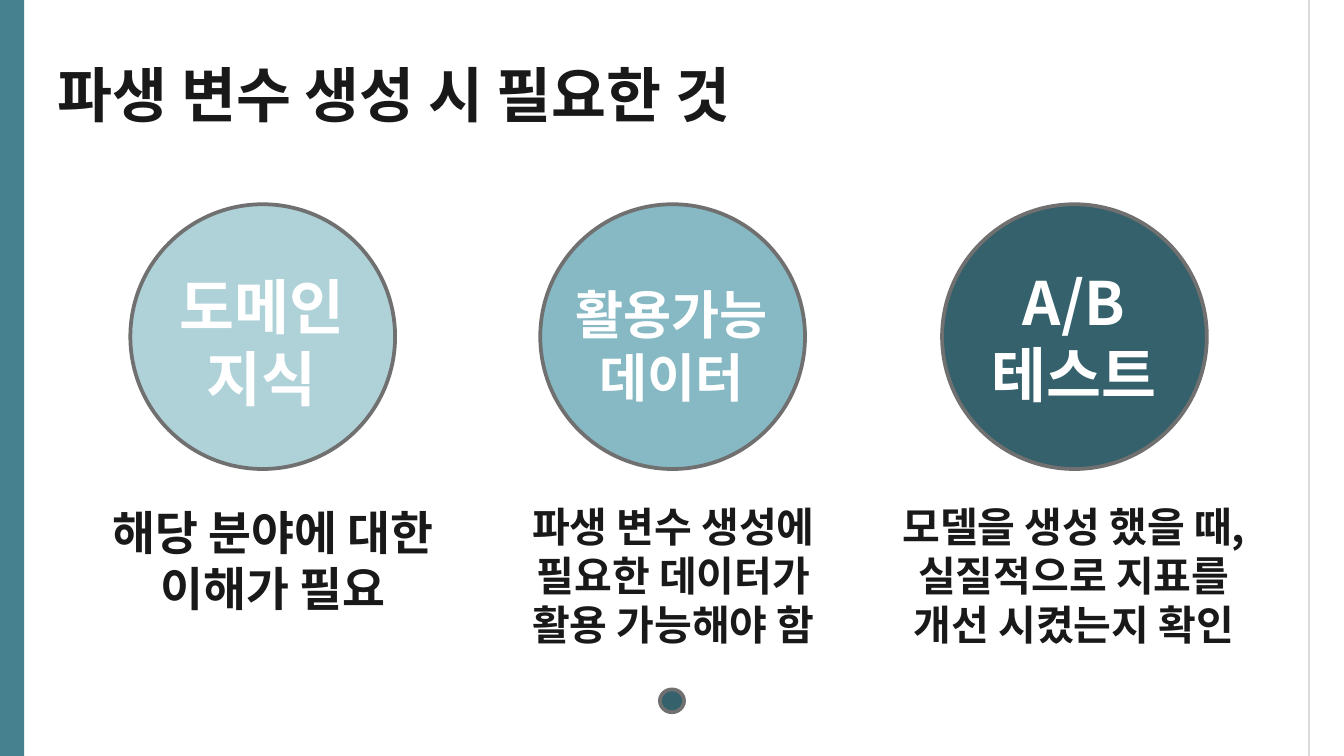
from pptx import Presentation
from pptx.dml.color import RGBColor
from pptx.enum.shapes import MSO_CONNECTOR as CONNECTOR, MSO_SHAPE as SHAPE
from pptx.enum.text import MSO_ANCHOR as ANCHOR, MSO_AUTO_SIZE as AUTO_SIZE, PP_ALIGN as ALIGN
from pptx.oxml.ns import qn
from pptx.util import Inches, Pt

WIDTH = 10
HEIGHT = WIDTH * 9 / 16
FONT = "Noto Sans CJK KR"
INK, WHITE, OUTLINE, DARK_TEAL = "191919", "FFFFFF", "707070", "34616B"
DIAMETER, RADIUS = 1.97, 0.98
CAPTION_WIDTH, TEXT_HEIGHT = 2.94, 0.63

COLUMNS = [
    {"center": 1.95, "fill": "AFD1D8",
     "label": ["도메인", "지식"], "label_size": 32, "label_width": 1.53, "label_drop": 0.39,
     "caption": ["해당 분야에 대한 이해가 필요"], "caption_size": 25,
     "caption_shift": 0.08, "caption_drop": 2.13},
    {"center": 5, "fill": "86B9C4",
     "label": ["활용가능", "데이터"], "label_size": 28, "label_width": 2.5, "label_drop": 0.48,
     "caption": ["파생 변수 생성에", "필요한 데이터가", "활용 가능해야 함"], "caption_size": 22,
     "caption_shift": 0.01, "caption_drop": 2.11},
    {"center": 7.99, "fill": DARK_TEAL,
     "label": ["A/B", "테스트"], "label_size": 32, "label_width": 2.5, "label_drop": 0.36,
     "caption": ["모델을 생성 했을 때,", "실질적으로 지표를", "개선 시켰는지 확인"], "caption_size": 22,
     "caption_shift": 0, "caption_drop": 2.11},
]


def color(value):
    return RGBColor.from_string(value)


def place(shape, left, top, width, height):
    box = {"left": left, "top": top, "width": width, "height": height}
    for name, value in box.items():
        setattr(shape, name, Inches(value))


def write(shape, lines, size, ink, align):
    frame = shape.text_frame
    settings = {"word_wrap": True, "auto_size": AUTO_SIZE.NONE, "vertical_anchor": ANCHOR.TOP}
    settings.update({f"margin_{side}": Inches(0.1) for side in ("left", "top", "right", "bottom")})
    for name, value in settings.items():
        setattr(frame, name, value)
    frame.text = "\n".join(lines)
    for paragraph in frame.paragraphs:
        paragraph.alignment = align
        for run in paragraph.runs:
            for name, value in {"size": Pt(size), "bold": True, "name": FONT}.items():
                setattr(run.font, name, value)
            run.font.color.rgb = color(ink)
            east_asian = run._r.get_or_add_rPr().makeelement(qn("a:ea"), {"typeface": FONT})
            run.font._element.find(qn("a:latin")).addnext(east_asian)


def add_text(slide, box, lines, size, ink):
    shape = slide.shapes.add_textbox(*map(Inches, box))
    write(shape, lines, size, ink, ALIGN.CENTER)


def add_filled(slide, kind, box, fill, outline=None):
    shape = slide.shapes.add_shape(kind, *map(Inches, box))
    shape.shadow.inherit = False
    shape.fill.solid()
    shape.fill.fore_color.rgb = color(fill)
    if outline:
        shape.line.color.rgb = color(outline)
        shape.line.width = Pt(2)
    else:
        shape.line.fill.background()


def add_frame(slide):
    add_filled(slide, SHAPE.RECTANGLE, (0, 0, 0.18, HEIGHT), "45818E")
    edge = Inches(9.74)
    border = slide.shapes.add_connector(CONNECTOR.STRAIGHT, edge, 0, edge, Inches(HEIGHT))
    border.line.color.rgb = color("D9D9D9")
    border.line.width = Pt(0.75)
    properties = border._element.spPr
    properties.append(properties.makeelement(qn("a:effectLst"), {}))


def add_title(slide, text):
    title = slide.shapes.title
    place(title, 0.33, 0.33, 6.68, TEXT_HEIGHT)
    write(title, [text], 32, INK, ALIGN.LEFT)


def add_column(slide, column, top):
    center = column["center"]
    circle = (center - RADIUS, top, DIAMETER, DIAMETER)
    add_filled(slide, SHAPE.OVAL, circle, column["fill"], OUTLINE)
    width = column["label_width"]
    label = (center - width / 2, top + column["label_drop"], width, TEXT_HEIGHT)
    add_text(slide, label, column["label"], column["label_size"], WHITE)
    left = center + column["caption_shift"] - CAPTION_WIDTH / 2
    caption = (left, top + column["caption_drop"], CAPTION_WIDTH, TEXT_HEIGHT)
    add_text(slide, caption, column["caption"], column["caption_size"], INK)


def main():
    presentation = Presentation()
    presentation.slide_width, presentation.slide_height = Inches(WIDTH), Inches(HEIGHT)
    slide = presentation.slides.add_slide(presentation.slide_layouts[5])
    add_frame(slide)
    add_title(slide, "파생 변수 생성 시 필요한 것")
    add_filled(slide, SHAPE.OVAL, (4.91, 5.13, 0.18, 0.17), DARK_TEAL, OUTLINE)
    for column in COLUMNS:
        add_column(slide, column, 1.52)
    presentation.save("out.pptx")


if __name__ == "__main__":
    main()
